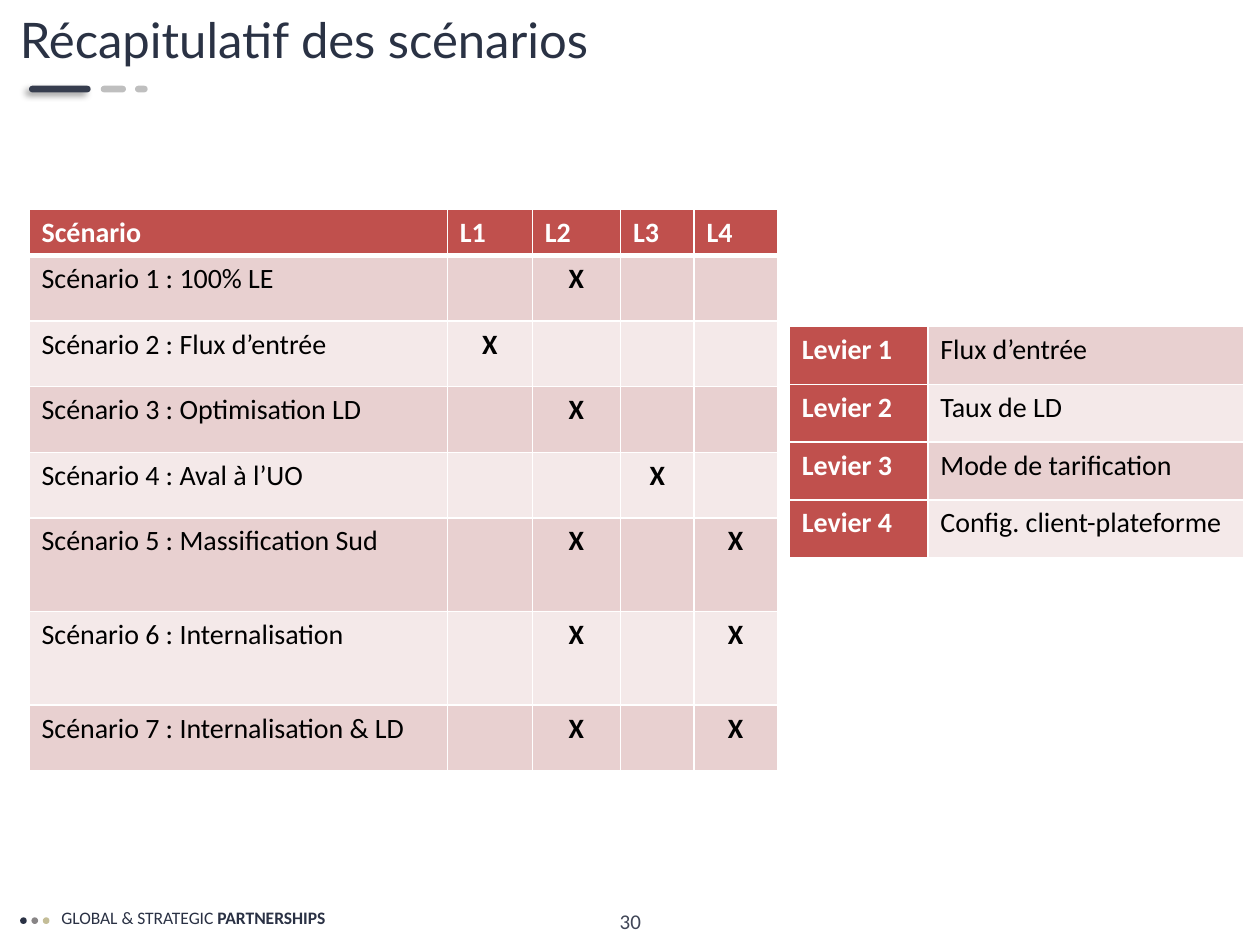
from lxml import etree
from pptx import Presentation
from pptx.dml import color
from pptx.enum import shapes, text
from pptx.oxml import ns
from pptx.util import Pt

THEME = {
    "title_font": "Lato", "body_font": "Calibri",
    "title_size": 28, "table_size": 16, "number_size": 12, "footer_size": 10,
    "title": "2A3244", "footer": "2A3144", "number": "404657",
    "accent": "C0504D", "bands": ("E8D0D0", "F4E9E9"),
    "white": "FFFFFF", "black": "000000",
    "bar": "363D4E", "bar_light": "BFBFBF",
    "dots": ("2A3144", "888586", "C4BD97"),
}

TITLE = "Récapitulatif des scénarios"
FOOTER = (("GLOBAL & STRATEGIC ", False), ("PARTNERSHIPS", True))
PAGE_NUMBER = "30"
LEVERS = ("L1", "L2", "L3", "L4")
SCENARIOS = (
    ("Scénario 1 : 100% LE", ("L2",)),
    ("Scénario 2 : Flux d’entrée", ("L1",)),
    ("Scénario 3 : Optimisation LD", ("L2",)),
    ("Scénario 4 : Aval à l’UO", ("L3",)),
    ("Scénario 5 : Massification Sud", ("L2", "L4")),
    ("Scénario 6 : Internalisation", ("L2", "L4")),
    ("Scénario 7 : Internalisation & LD", ("L2", "L4")),
)
LEGEND = (
    ("Levier 1", "Flux d’entrée"),
    ("Levier 2", "Taux de LD"),
    ("Levier 3", "Mode de tarification"),
    ("Levier 4", "Config. client-plateforme"),
)
TITLE_BARS = ((16.6, 35.2, "bar"), (57.6, 14.4, "bar_light"), (77.2, 7.2, "bar_light"))
SCENARIO_COLUMNS = (239, 48.6, 50.4, 42, 47.6)
SCENARIO_ROWS = (25.2, 37.5, 37.5, 37.5, 37.5, 53.5, 53.5, 37.5)
LEGEND_COLUMNS = (79.2, 180.4)
LEGEND_ROWS = (33,) * len(LEGEND)


def rgb(value):
    return color.RGBColor.from_string(value)


def style_font(font, size, hue, name=THEME["body_font"], bold=False):
    font.name, font.size, font.bold = name, Pt(size), bold
    font.color.rgb = rgb(hue)


def add_text_box(slide, left, top, width, height):
    box = slide.shapes.add_textbox(Pt(left), Pt(top), Pt(width), Pt(height))
    box.text_frame.word_wrap = True
    return box.text_frame


def add_plain_shape(parent, kind, left, top, width, height, hue):
    shape = parent.shapes.add_shape(kind, Pt(left), Pt(top), Pt(width), Pt(height))
    shape.shadow.inherit = False
    shape.fill.solid()
    shape.fill.fore_color.rgb = rgb(hue)
    shape.line.fill.background()
    return shape


def add_drop_shadow(shape):
    effects = shape.element.spPr.find(ns.qn("a:effectLst"))
    shadow = etree.SubElement(effects, ns.qn("a:outerShdw"), blurRad=str(Pt(4)),
                              dist=str(Pt(3)), dir="8100000", algn="tr", rotWithShape="0")
    hue = etree.SubElement(shadow, ns.qn("a:srgbClr"), val=THEME["black"])
    etree.SubElement(hue, ns.qn("a:alpha"), val="40000")


def set_borders(cell, top=1, bottom=1):
    properties = cell._tc.get_or_add_tcPr()
    for index, (side, width) in enumerate((("L", 1), ("R", 1), ("T", top), ("B", bottom))):
        line = etree.Element(ns.qn(f"a:ln{side}"), w=str(Pt(width)))
        fill = etree.SubElement(line, ns.qn("a:solidFill"))
        etree.SubElement(fill, ns.qn("a:srgbClr"), val=THEME["white"])
        properties.insert(index, line)


def fill_cell(cell, label, fill, hue=THEME["black"], bold=False, centred=False):
    cell.fill.solid()
    cell.fill.fore_color.rgb = rgb(fill)
    cell.text = label
    paragraph = cell.text_frame.paragraphs[0]
    style_font(paragraph.font, THEME["table_size"], hue, bold=bold)
    if centred:
        paragraph.alignment = text.PP_ALIGN.CENTER


def add_grid(slide, left, top, columns, rows):
    table = slide.shapes.add_table(len(rows), len(columns), Pt(left), Pt(top),
                                   Pt(sum(columns)), Pt(sum(rows))).table
    for column, width in zip(table.columns, columns):
        column.width = Pt(width)
    for row, height in zip(table.rows, rows):
        row.height = Pt(height)
    return table


def add_header(slide):
    group = slide.shapes.add_group_shape()
    for left, width, hue in TITLE_BARS:
        bar = add_plain_shape(group, shapes.MSO_SHAPE.ROUNDED_RECTANGLE,
                              left, 49, width, 3.8, THEME[hue])
        bar.adjustments[0] = 0.5
        if hue == "bar":
            add_drop_shadow(bar)
    paragraph = add_text_box(slide, 4.3, 5.8, 760, 43.2).paragraphs[0]
    paragraph.text = TITLE
    paragraph.line_spacing = 0.9
    style_font(paragraph.font, THEME["title_size"], THEME["title"], THEME["title_font"])


def add_footer(slide):
    paragraph = add_text_box(slide, 28, 514.8, 180, 19.4).paragraphs[0]
    for label, bold in FOOTER:
        run = paragraph.add_run()
        run.text = label
        style_font(run.font, THEME["footer_size"], THEME["footer"], bold=bold)
    for index, hue in enumerate(THEME["dots"]):
        add_plain_shape(slide, shapes.MSO_SHAPE.OVAL, 11.5 + 6.5 * index, 524.2, 3.8, 3.8, hue)
    frame = add_text_box(slide, 279.2, 512, 162, 28.8)
    frame.vertical_anchor = text.MSO_ANCHOR.MIDDLE
    paragraph = frame.paragraphs[0]
    paragraph.text = PAGE_NUMBER
    paragraph.alignment = text.PP_ALIGN.CENTER
    style_font(paragraph.font, THEME["number_size"], THEME["number"])


def add_scenarios(slide):
    table = add_grid(slide, 16.6, 119.6, SCENARIO_COLUMNS, SCENARIO_ROWS)
    for column, label in enumerate(("Scénario",) + LEVERS):
        cell = table.cell(0, column)
        fill_cell(cell, label, THEME["accent"], THEME["white"], bold=True)
        set_borders(cell, bottom=3)
    for row, (name, used) in enumerate(SCENARIOS, 1):
        band = THEME["bands"][(row - 1) % 2]
        fill_cell(table.cell(row, 0), name, band)
        for column, lever in enumerate(LEVERS, 1):
            fill_cell(table.cell(row, column), "X" if lever in used else "", band,
                      bold=True, centred=True)
        for cell in table.rows[row].cells:
            set_borders(cell, top=3 if row == 1 else 1)


def add_legend(slide):
    table = add_grid(slide, 451, 186.6, LEGEND_COLUMNS, LEGEND_ROWS)
    for row, (lever, meaning) in enumerate(LEGEND):
        fill_cell(table.cell(row, 0), lever, THEME["accent"], THEME["white"], bold=True)
        fill_cell(table.cell(row, 1), meaning, THEME["bands"][row % 2])
        for cell in table.rows[row].cells:
            set_borders(cell)


def main():
    presentation = Presentation()
    presentation.slide_width, presentation.slide_height = Pt(720), Pt(540)
    slide = presentation.slides.add_slide(presentation.slide_layouts[6])
    add_footer(slide)
    add_header(slide)
    add_scenarios(slide)
    add_legend(slide)
    presentation.save("out.pptx")


if __name__ == "__main__":
    main()
